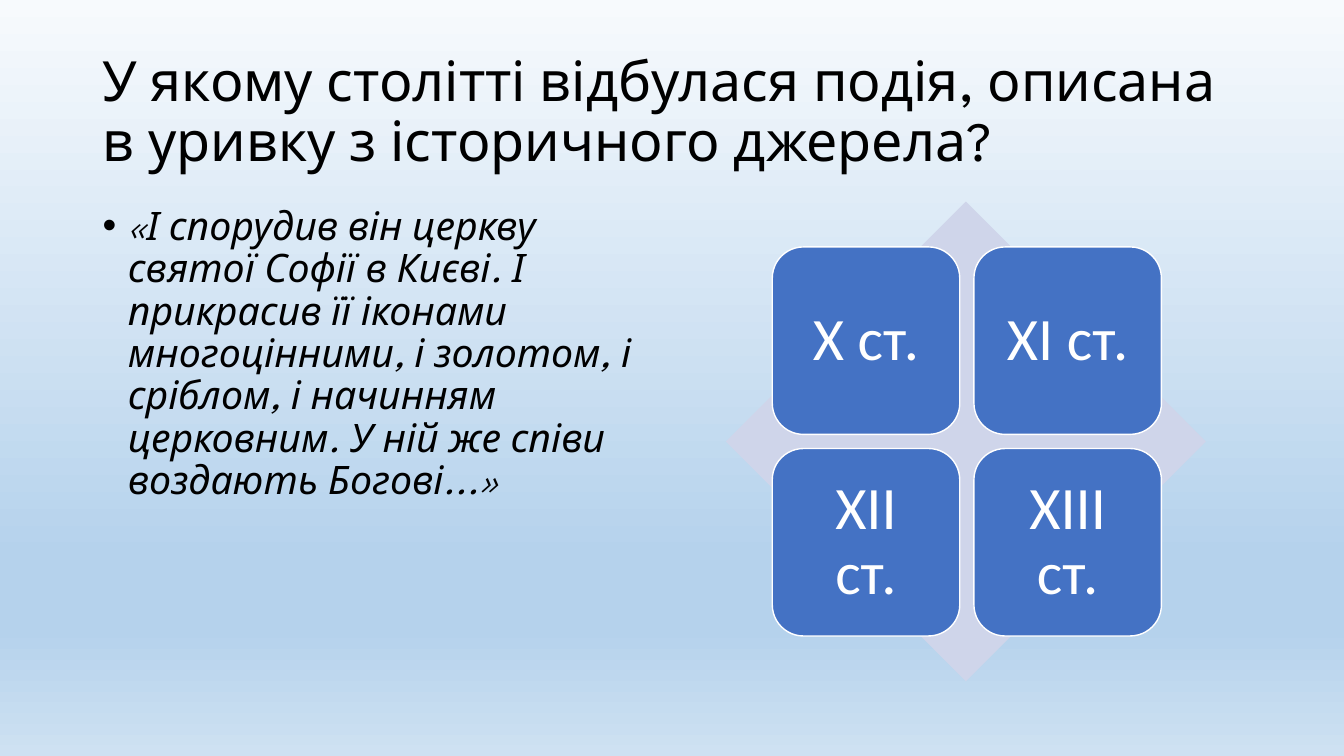
from dataclasses import dataclass

from lxml import etree
from pptx import Presentation
from pptx.dml.color import RGBColor
from pptx.enum.shapes import MSO_SHAPE
from pptx.enum.text import MSO_ANCHOR, PP_ALIGN
from pptx.oxml.ns import qn
from pptx.slide import Slide
from pptx.text.text import TextFrame
from pptx.util import Inches, Pt

DIAMOND = MSO_SHAPE.DIAMOND
ROUNDED = MSO_SHAPE.ROUNDED_RECTANGLE
MIDDLE = MSO_ANCHOR.MIDDLE
CENTER = PP_ALIGN.CENTER

COLORS = {
    "text": "000000",
    "tile": "4472C4",
    "tile_text": "FFFFFF",
    "diamond": "CFD5EA",
    "sky_top": "F7FAFD",
    "sky_middle": "B5D2EC",
    "sky_bottom": "CEE1F2",
}
BACKGROUND_STOPS = [(0, "sky_top"), (74, "sky_middle"), (83, "sky_middle"), (100, "sky_bottom")]

TITLE = "У якому столітті відбулася подія, описана в уривку з історичного джерела?"
QUOTE = (
    "«І спорудив він церкву святої Софії в Києві. І прикрасив її іконами "
    "многоцінними, і золотом, і сріблом, і начинням церковним. "
    "У ній же співи воздають Богові...»"
)
CENTURIES = ["X ст.", "XI ст.", "XII ст.", "XIII ст."]

TILE_LEFT, TILE_TOP, TILE_SIZE, TILE_STEP = 7.66, 2.45, 1.86, 2.0


@dataclass
class Style:
    size: float
    font: str
    color: str
    italic: bool = False


@dataclass
class Box:
    left: float
    top: float
    width: float
    height: float

    def inches(self) -> list[int]:
        return [Inches(value) for value in (self.left, self.top, self.width, self.height)]


TITLE_STYLE = Style(39.6, "League Spartan", "text")
QUOTE_STYLE = Style(28, "League Spartan", "text", italic=True)
TILE_STYLE = Style(43, "Calibri", "tile_text")


def rgb(name: str) -> RGBColor:
    return RGBColor.from_string(COLORS[name])


def paint_background(slide: Slide) -> None:
    fill = slide.background.fill
    fill.gradient()
    fill.gradient_angle = 270
    stops = slide.element.find(".//" + qn("a:gsLst"))
    for stop in list(stops):
        stops.remove(stop)
    for percent, name in BACKGROUND_STOPS:
        stop = etree.SubElement(stops, qn("a:gs"), pos=str(percent * 1000))
        etree.SubElement(stop, qn("a:srgbClr"), val=COLORS[name])


def write(frame: TextFrame, text: str, style: Style) -> None:
    frame.word_wrap = True
    frame.text = text
    paragraph = frame.paragraphs[0]
    paragraph.line_spacing = 0.9
    font = paragraph.runs[0].font
    font.size = Pt(style.size)
    font.name = style.font
    font.italic = style.italic
    font.color.rgb = rgb(style.color)


def add_text(slide: Slide, box: Box, text: str, style: Style) -> TextFrame:
    frame = slide.shapes.add_textbox(*box.inches()).text_frame
    write(frame, text, style)
    return frame


def add_bullet(frame: TextFrame, indent: float) -> None:
    properties = frame.paragraphs[0]._p.get_or_add_pPr()
    properties.set("marL", str(Inches(indent)))
    properties.set("indent", str(-Inches(indent)))
    etree.SubElement(properties, qn("a:buFont"), typeface="Arial")
    etree.SubElement(properties, qn("a:buChar"), char="•")


def add_diamond(slide: Slide, box: Box) -> None:
    diamond = slide.shapes.add_shape(DIAMOND, *box.inches())
    diamond.shadow.inherit = False
    diamond.fill.solid()
    diamond.fill.fore_color.rgb = rgb("diamond")
    diamond.line.fill.background()


def add_tile(slide: Slide, box: Box, text: str) -> None:
    tile = slide.shapes.add_shape(ROUNDED, *box.inches())
    tile.shadow.inherit = False
    tile.fill.solid()
    tile.fill.fore_color.rgb = rgb("tile")
    tile.line.color.rgb = rgb("tile_text")
    tile.line.width = Pt(1)
    frame = tile.text_frame
    write(frame, text, TILE_STYLE)
    frame.vertical_anchor = MIDDLE
    frame.paragraphs[0].alignment = CENTER
    frame.margin_left = frame.margin_right = Inches(0.18)
    frame.margin_top = frame.margin_bottom = Inches(0.18)


def main() -> None:
    presentation = Presentation()
    presentation.slide_width = Inches(13.33)
    presentation.slide_height = Inches(7.5)
    slide = presentation.slides.add_slide(presentation.slide_layouts[6])
    paint_background(slide)

    title = add_text(slide, Box(0.92, 0.4, 11.5, 1.45), TITLE, TITLE_STYLE)
    title.vertical_anchor = MIDDLE
    quote = add_text(slide, Box(0.92, 2, 5.67, 4.76), QUOTE, QUOTE_STYLE)
    add_bullet(quote, 0.25)

    add_diamond(slide, Box(7.2, 2, 4.76, 4.76))
    for index, century in enumerate(CENTURIES):
        row, column = divmod(index, 2)
        left = TILE_LEFT + column * TILE_STEP
        top = TILE_TOP + row * TILE_STEP
        add_tile(slide, Box(left, top, TILE_SIZE, TILE_SIZE), century)

    presentation.save("out.pptx")


if __name__ == "__main__":
    main()
